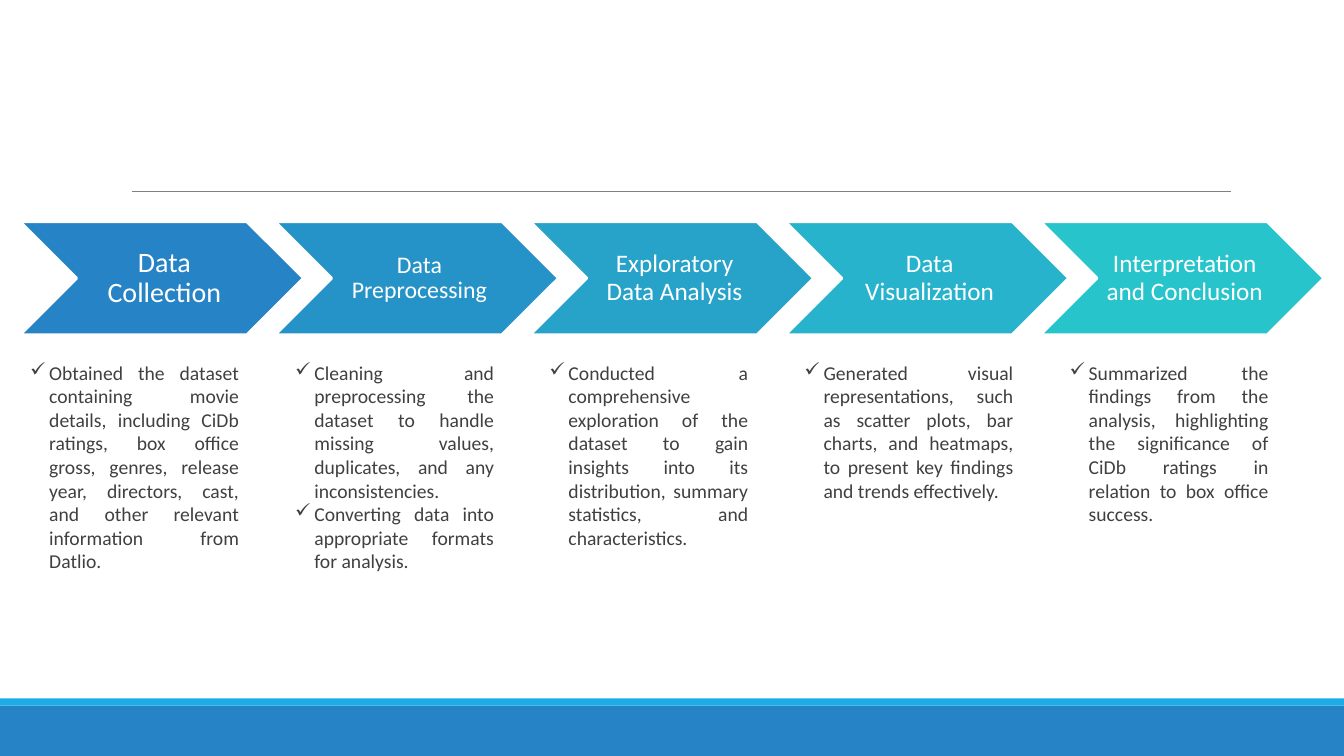
import pptx
import pptx.util
import pptx.dml.color
import pptx.enum.shapes
import pptx.enum.text
import pptx.oxml.ns
from lxml import etree

# Content: label, label size, chevron colour, notes left, notes width, notes height, notes
STEPS = [
    ("Data Collection", 20, "2683C6", 20, 227, 222, [
        "Obtained the dataset containing movie details, including CiDb ratings, box office gross, "
        "genres, release year, directors, cast, and other relevant information from Datlio."]),
    ("Data Preprocessing", 17, "2693C8", 283, 217, 222, [
        "Cleaning and preprocessing the dataset to handle missing values, duplicates, "
        "and any inconsistencies.",
        "Converting data into appropriate formats for analysis."]),
    ("Exploratory Data Analysis", 18, "27A3C9", 535, 217, 199, [
        "Conducted a comprehensive exploration of the dataset to gain insights into its "
        "distribution, summary statistics, and characteristics."]),
    ("Data Visualization", 18, "27B3CB", 788, 227, 151, [
        "Generated visual representations, such as scatter plots, bar charts, and heatmaps, "
        "to present key findings and trends effectively."]),
    ("Interpretation and Conclusion", 18, "28C4CC", 1051, 217, 175, [
        "Summarized the findings from the analysis, highlighting the significance of CiDb "
        "ratings in relation to box office success."]),
]

THEME = {
    "font": "Calibri", "body": 14,
    "white": "FFFFFF", "ink": "404040", "rule": "808080",
    "base": "2683C6", "strip": "1CADE4",
}

# Layout in px, 100 to the inch
SCALE = 9144
WIDE, HIGH = 1333, 750
LEFT, TOP, PITCH = 20, 220, 253
ARROW_W, ARROW_H = 281, 112
LABEL_IN, LABEL_W = 56, 169
NOTES_TOP, HANG = 353, 19

ALIGN = pptx.enum.text.PP_ALIGN
ANCHOR = pptx.enum.text.MSO_ANCHOR
SIZING = pptx.enum.text.MSO_AUTO_SIZE
SHAPE = pptx.enum.shapes.MSO_SHAPE


def px(*vals):
    return [pptx.util.Emu(v * SCALE) for v in vals]


def rgb(name):
    return pptx.dml.color.RGBColor.from_string(name)


def draw(kind, box, fill, edge=None):
    shape = slide.shapes.add_shape(kind, *px(*box))
    shape.shadow.inherit = False
    shape.fill.solid()
    shape.fill.fore_color.rgb = rgb(fill)
    if edge:
        shape.line.color.rgb = rgb(edge)
        shape.line.width = pptx.util.Pt(2)
    else:
        shape.line.fill.background()
    return shape


def write(lines, box, size, color, align, anchor=ANCHOR.TOP, inset=(10, 5, 10, 5),
          space=None, bullet=None, grow=False):
    frame = slide.shapes.add_textbox(*px(*box)).text_frame
    frame.word_wrap = True
    frame.auto_size = SIZING.SHAPE_TO_FIT_TEXT if grow else SIZING.NONE
    frame.vertical_anchor = anchor
    (frame.margin_left, frame.margin_top,
     frame.margin_right, frame.margin_bottom) = px(*inset)
    for i, line in enumerate(lines):
        para = frame.paragraphs[0] if i == 0 else frame.add_paragraph()
        para.alignment = align
        if space:
            para.line_spacing = space
        run = para.add_run()
        run.text = line
        run.font.name = THEME["font"]
        run.font.size = pptx.util.Pt(size)
        run.font.color.rgb = rgb(color)
        if bullet:
            props = para._p.get_or_add_pPr()
            props.set("marL", str(HANG * SCALE))
            props.set("indent", str(-HANG * SCALE))
            mark = etree.SubElement(props, pptx.oxml.ns.qn("a:buChar"))
            mark.set("char", bullet)


deck = pptx.Presentation()
deck.slide_width, deck.slide_height = px(WIDE, HIGH)
slide = deck.slides.add_slide(deck.slide_layouts[6])

# Footer bands and title rule
draw(SHAPE.RECTANGLE, (0, 700, WIDE, 50), THEME["base"])
draw(SHAPE.RECTANGLE, (0, 693, WIDE, 7), THEME["strip"])
rule = slide.shapes.add_connector(
    pptx.enum.shapes.MSO_CONNECTOR.STRAIGHT, *px(131, 190, 1221, 190))
rule.line.color.rgb = rgb(THEME["rule"])
rule.line.width = pptx.util.Pt(0.5)
etree.SubElement(rule._element.spPr, pptx.oxml.ns.qn("a:effectLst"))

# Chevrons with labels, notes below
for i, (label, size, fill, left, width, height, notes) in enumerate(STEPS):
    x = LEFT + i * PITCH
    arrow = draw(SHAPE.CHEVRON, (x, TOP, ARROW_W, ARROW_H), fill, THEME["white"])
    arrow.adjustments[0] = 0.5
    write([label], (x + LABEL_IN, TOP, LABEL_W, ARROW_H), size, THEME["white"],
          ALIGN.CENTER, anchor=ANCHOR.MIDDLE, inset=(8, 3, 3, 3), space=0.9)
    write(notes, (left, NOTES_TOP, width, height), THEME["body"], THEME["ink"],
          ALIGN.JUSTIFY, bullet="✓", grow=True)

deck.save("out.pptx")
